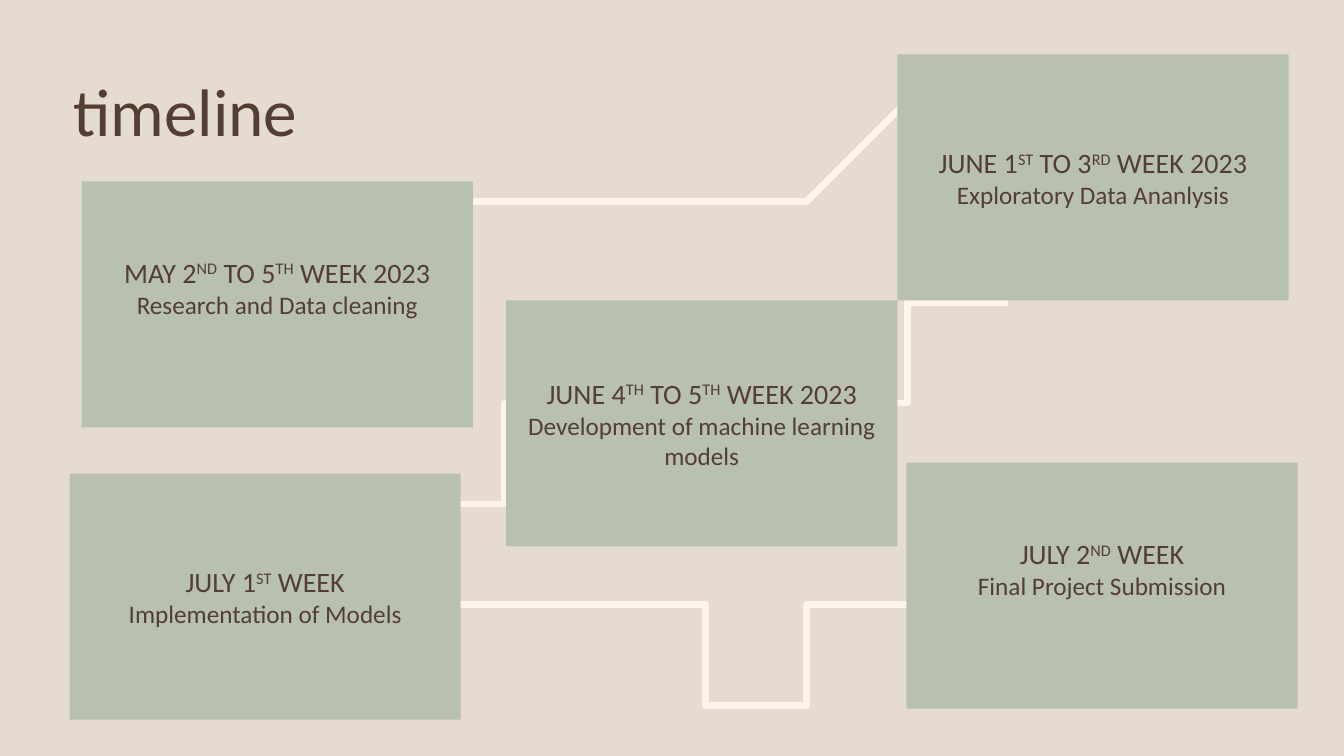
from dataclasses import dataclass

from lxml import etree
from pptx import Presentation
from pptx.dml.color import RGBColor
from pptx.enum import shapes, text
from pptx.oxml import ns
from pptx.util import Inches, Pt

COLOURS = {"background": "E6DBD0", "card": "B8C0B0", "path": "FEF3ED", "text": "543E34"}
FONT = "Calibri"
CARD_WIDTH, CARD_HEIGHT = 3.88, 2.44
STEPS_PER_CURVE = 16

Point = tuple[float, float]


@dataclass
class Milestone:
    """A card; parts of the date between carets are superscript."""
    left: float
    top: float
    date: str
    task: str
    bottom_inset: float = 0.05


@dataclass
class Trail:
    """A start point, then two control points and an end point per curve."""
    points: list[Point]


MILESTONES = [
    Milestone(0.81, 1.8, "MAY 2^ND^ TO 5^TH^ WEEK 2023", "Research and Data cleaning", 0.39),
    Milestone(8.9, 0.54, "JUNE 1^ST^ TO 3^RD^ WEEK 2023", "Exploratory Data Ananlysis"),
    Milestone(5.02, 2.98, "JUNE 4^TH^ TO 5^TH^ WEEK 2023", "Development of machine learning models"),
    Milestone(0.69, 4.7, "JULY 1^ST^ WEEK", "Implementation of Models"),
    Milestone(8.99, 4.59, "JULY 2^ND^ WEEK", "Final Project Submission", 0.39),
]

TRAILS = [
    Trail([(8.33, 3.83), (9.13, 3.63), (9.85, 3.27), (10.47, 2.75)]),
    Trail([(5.84, 4.28), (5.09, 4.52), (4.45, 4.9), (3.89, 5.39)]),
    Trail([(3.07, 2.23), (3.5, 1.87), (3.98, 1.77), (4.49, 1.9),
           (4.66, 1.94), (4.81, 2.01), (4.97, 2.09),
           (5.3, 2.24), (5.65, 2.35), (6.04, 2.36),
           (6.37, 2.36), (6.7, 2.29), (7.01, 2.17),
           (7.37, 2.03), (7.57, 1.93), (7.78, 1.83),
           (8.01, 1.71), (9.4, 1.03), (10.27, 1.46)]),
    Trail([(9.2, 5.79), (9.04, 5.86), (8.91, 5.95), (8.77, 6.05),
           (8.48, 6.25), (8.15, 6.41), (7.78, 6.47),
           (7.46, 6.53), (7.14, 6.51), (6.81, 6.44),
           (6.45, 6.36), (6.24, 6.29), (6.02, 6.22),
           (5.78, 6.15), (4.34, 5.7), (3.47, 6.36)]),
]


def colour(name: str) -> RGBColor:
    return RGBColor.from_string(COLOURS[name])


def bezier(ends: list[Point], t: float) -> Point:
    """Return the point at t on a cubic curve."""
    weights = ((1 - t) ** 3, 3 * t * (1 - t) ** 2, 3 * t ** 2 * (1 - t), t ** 3)
    x, y = (sum(w * p[axis] for w, p in zip(weights, ends)) for axis in (0, 1))
    return x, y


def draw_trail(page, trail: Trail) -> None:
    points = trail.points
    vertices = [
        bezier(points[i:i + 4], step / STEPS_PER_CURVE)
        for i in range(0, len(points) - 1, 3)
        for step in range(1, STEPS_PER_CURVE + 1)
    ]
    builder = page.shapes.build_freeform(*points[0], scale=Inches(1))
    builder.add_line_segments(vertices, close=False)
    curve = builder.convert_to_shape()
    curve.shadow.inherit = False
    curve.fill.background()
    curve.line.color.rgb = colour("path")
    curve.line.width = Pt(4.75)
    etree.SubElement(curve.line._get_or_add_ln(), ns.qn("a:round"))


def write(para, words: str, size: float) -> None:
    """Fill a paragraph, raising every second part between carets."""
    for index, part in enumerate(words.split("^")):
        span = para.add_run()
        span.text = part
        span.font.size = Pt(size)
        span.font.name = FONT
        span.font.color.rgb = colour("text")
        if index % 2:
            span._r.get_or_add_rPr().set("baseline", "30000")


def draw_title(page, words: str) -> None:
    box = page.shapes.add_textbox(Inches(0.63), Inches(0.77), Inches(10), Inches(0.74))
    frame = box.text_frame
    frame.word_wrap = True
    frame.vertical_anchor = text.MSO_ANCHOR.MIDDLE
    para = frame.paragraphs[0]
    para.line_spacing = 0.9
    write(para, words, 48)


def draw_milestone(page, milestone: Milestone) -> None:
    card = page.shapes.add_shape(
        shapes.MSO_SHAPE.RECTANGLE, Inches(milestone.left), Inches(milestone.top),
        Inches(CARD_WIDTH), Inches(CARD_HEIGHT))
    card.shadow.inherit = False
    card.fill.solid()
    card.fill.fore_color.rgb = colour("card")
    card.line.fill.background()
    frame = card.text_frame
    frame.word_wrap = True
    frame.vertical_anchor = text.MSO_ANCHOR.MIDDLE
    frame.margin_bottom = Inches(milestone.bottom_inset)
    date, task = frame.paragraphs[0], frame.add_paragraph()
    write(date, milestone.date, 20)
    write(task, milestone.task, 18)
    for para in (date, task):
        para.alignment = text.PP_ALIGN.CENTER


def main() -> None:
    deck = Presentation()
    deck.slide_width, deck.slide_height = Inches(13.33), Inches(7.5)
    page = deck.slides.add_slide(deck.slide_layouts[6])
    page.background.fill.solid()
    page.background.fill.fore_color.rgb = colour("background")
    for trail in TRAILS:
        draw_trail(page, trail)
    draw_title(page, "timeline")
    for milestone in MILESTONES:
        draw_milestone(page, milestone)
    deck.save("out.pptx")


if __name__ == "__main__":
    main()
